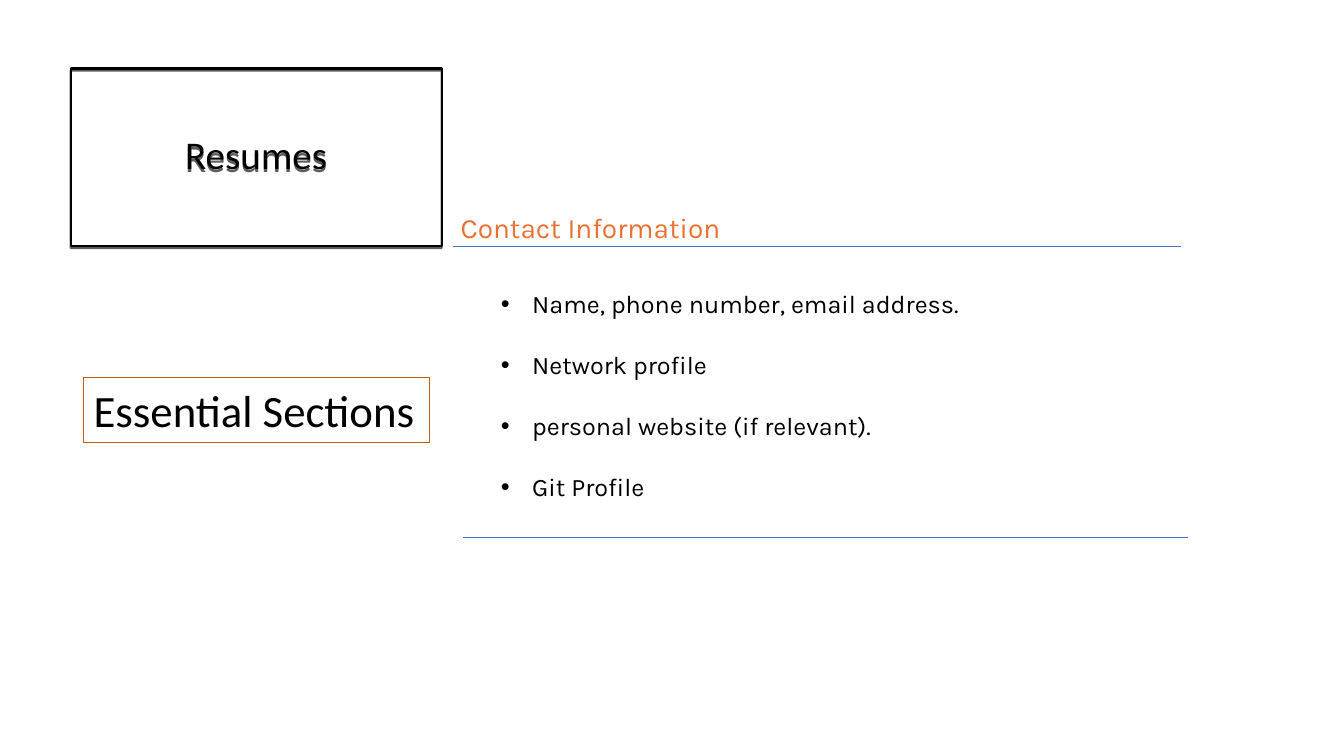
from lxml import etree
from pptx import Presentation
from pptx.dml.color import RGBColor
from pptx.enum.shapes import MSO_CONNECTOR, MSO_SHAPE
from pptx.enum.text import MSO_ANCHOR, MSO_AUTO_SIZE, PP_ALIGN
from pptx.oxml.ns import qn
from pptx.util import Emu, Pt

PX = 9144  # 100 px to the inch
STRAIGHT = MSO_CONNECTOR.STRAIGHT
RECT = MSO_SHAPE.RECTANGLE
MIDDLE = MSO_ANCHOR.MIDDLE
CENTER = PP_ALIGN.CENTER
GROW = MSO_AUTO_SIZE.SHAPE_TO_FIT_TEXT

COLORS = {"ink": "000000", "rule": "4472C4", "heading": "E97132", "frame": "C55A11"}


def px(*lengths):
    return [Emu(n * PX) for n in lengths]


def rgb(name):
    return RGBColor.from_string(COLORS[name])


class ResumeSlide:
    def __init__(self, prs):
        self.s = prs.slides.add_slide(prs.slide_layouts[6])

    def fill_text(self, tf, lines, size, font, color="ink"):
        tf.text = "\n".join(lines)
        for p in tf.paragraphs:
            for r in p.runs:
                r.font.size = Pt(size)
                r.font.name = font
                r.font.color.rgb = rgb(color)

    def outline(self, sp, color, width):
        sp.line.color.rgb = rgb(color)
        sp.line.width = Pt(width)

    def title(self, box, text):
        """Framed title whose frame and letters cast a short shadow downwards."""
        sp = self.s.shapes.add_shape(RECT, *px(*box))
        sp.fill.background()
        self.outline(sp, "ink", 1.5)
        sp.shadow.inherit = False
        effects = sp._element.spPr.find(qn("a:effectLst"))
        shadow = etree.SubElement(effects, qn("a:outerShdw"), dist=str(Pt(1.5)),
                                  dir="5400000", algn="ctr", rotWithShape="0")
        tint = etree.SubElement(shadow, qn("a:srgbClr"), val=COLORS["ink"])
        etree.SubElement(tint, qn("a:alpha"), val="63000")
        tf = sp.text_frame
        tf.vertical_anchor = MIDDLE
        self.fill_text(tf, [text], 28, "Calibri")
        tf.paragraphs[0].alignment = CENTER
        tf.paragraphs[0].line_spacing = 0.9

    def text(self, box, lines, size, font, color="ink", wrap=True):
        sp = self.s.shapes.add_textbox(*px(*box))
        tf = sp.text_frame
        tf.word_wrap = wrap
        tf.auto_size = GROW
        self.fill_text(tf, lines, size, font, color)
        return sp

    def label(self, box, text):
        sp = self.text(box, [text], 32, "Calibri", wrap=False)
        self.outline(sp, "frame", 0.75)

    def bullets(self, box, items, top, gap, indent):
        tf = self.text(box, items, 18, "Karla").text_frame
        tf.margin_top, hang = px(top, indent)
        for i, p in enumerate(tf.paragraphs):
            if i:
                p.space_before = Pt(gap)
            pPr = p._p.get_or_add_pPr()
            pPr.set("marL", str(hang))
            pPr.set("indent", str(-hang))
            etree.SubElement(pPr, qn("a:buFont"), typeface="Arial")
            etree.SubElement(pPr, qn("a:buChar"), char="•")

    def rule(self, left, right, y):
        c = self.s.shapes.add_connector(STRAIGHT, *px(left, y, right, y))
        self.outline(c, "rule", 0.5)
        etree.SubElement(c._element.spPr, qn("a:effectLst"))


def main():
    prs = Presentation()
    prs.slide_width, prs.slide_height = px(1333, 750)
    slide = ResumeSlide(prs)
    slide.title((70, 68, 368, 176), "Resumes")
    slide.rule(449, 1171, 244)
    slide.rule(459, 1178, 533)
    slide.text((447, 204, 667, 44), ["Contact Information"], 20, "Karla", "heading")
    slide.label((83, 375, 343, 64), "Essential Sections")
    slide.bullets((487, 250, 568, 252),
                  ["Name, phone number, email address.", "Network profile",
                   "personal website (if relevant).", "Git Profile"],
                  top=36, gap=22, indent=31)
    prs.save("out.pptx")


if __name__ == "__main__":
    main()
